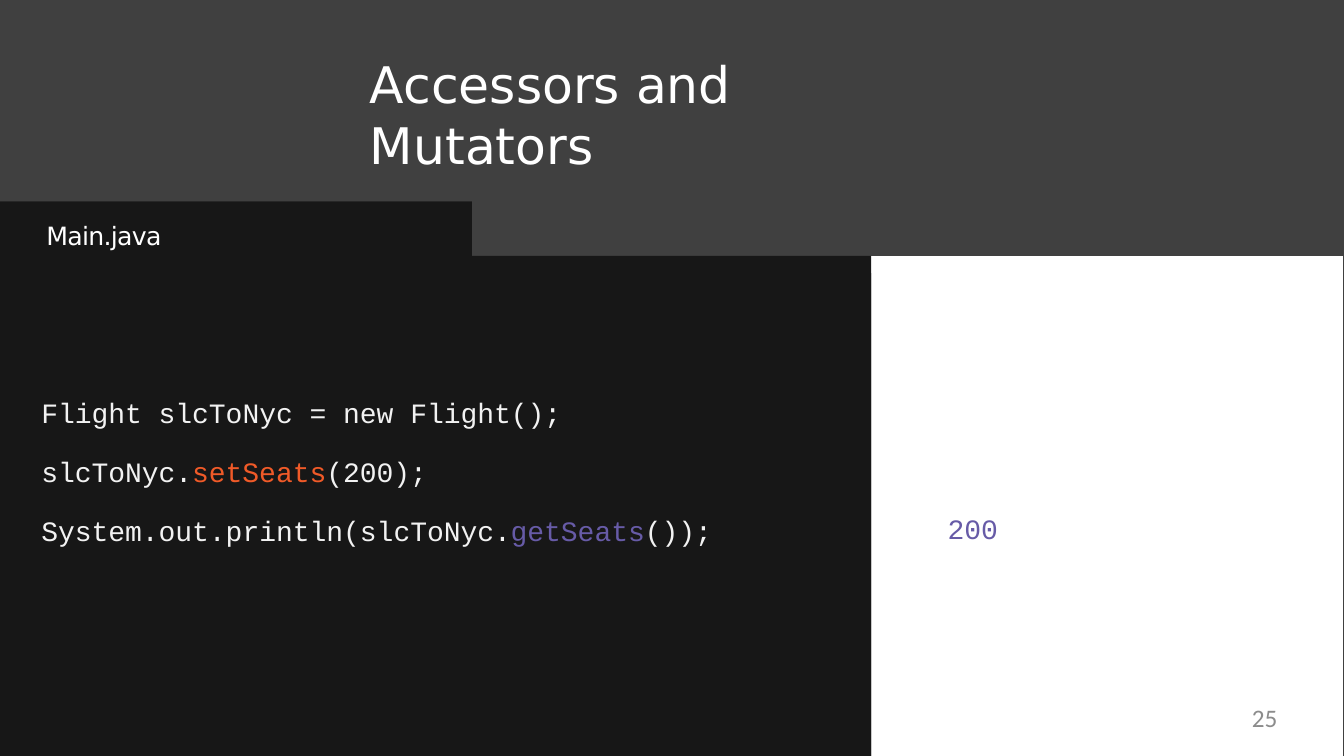
from dataclasses import dataclass

from pptx import Presentation
from pptx.dml.color import RGBColor
from pptx.enum.shapes import MSO_SHAPE as Preset
from pptx.enum.text import MSO_ANCHOR as Anchor, MSO_AUTO_SIZE as AutoSize, PP_ALIGN as Align
from pptx.shapes.base import BaseShape
from pptx.text.text import TextFrame
from pptx.util import Inches, Pt

# Slide grid, in inches
WIDTH, HEIGHT = 13.33, 7.5
TAB_TOP, PANEL_TOP, CODE_TOP = 2.0, 2.54, 2.71
TAB_RIGHT, CODE_RIGHT, OUTPUT_RIGHT = 4.68, 8.64, 13.32

GREY, BLACK, WHITE = "404040", "171717", "FFFFFF"
CODE_TEXT, SETTER, GETTER, PAGE_GREY = "F2F2F2", "F05A28", "675BA7", "8C8C8C"


@dataclass(frozen=True)
class Box:
    left: float
    top: float
    width: float
    height: float

    def emu(self) -> list[int]:
        return [Inches(n) for n in (self.left, self.top, self.width, self.height)]


@dataclass(frozen=True)
class Style:
    font: str
    size: float
    spacing: int = 0  # letter spacing, hundredths of a point


@dataclass(frozen=True)
class Piece:
    text: str
    color: str


CODE = Style("Courier New", 20, -5)
TITLE = Style("DejaVu Sans", 36)
TAB = Style("DejaVu Sans", 18, -50)
PAGE = Style("Calibri", 18)

CODE_LINES = [
    [Piece("Flight slcToNyc = new Flight();", CODE_TEXT)],
    [Piece("slcToNyc.", CODE_TEXT), Piece("setSeats", SETTER), Piece("(200);", CODE_TEXT)],
    [Piece("System.out.println(slcToNyc.", CODE_TEXT), Piece("getSeats", GETTER),
     Piece("());", CODE_TEXT)],
]


def rgb(color: str) -> RGBColor:
    return RGBColor.from_string(color)


def paint(shape: BaseShape, color: str) -> None:
    shape.fill.solid()
    shape.fill.fore_color.rgb = rgb(color)
    shape.line.fill.background()
    shape.shadow.inherit = False


def add_panel(slide, box: Box, color: str) -> BaseShape:
    panel = slide.shapes.add_shape(Preset.RECTANGLE, *box.emu())
    paint(panel, color)
    return panel


def write(frame: TextFrame, lines: list[list[Piece]], style: Style, left: float = 0,
          top: float = 0, right: float = 0, align: Align = Align.LEFT,
          line_height: float | None = None, wrap: bool = True) -> None:
    frame.auto_size = AutoSize.NONE
    frame.word_wrap = wrap
    frame.vertical_anchor = Anchor.TOP
    frame.margin_left, frame.margin_top = Inches(left), Inches(top)
    frame.margin_right, frame.margin_bottom = Inches(right), 0
    for number, pieces in enumerate(lines):
        paragraph = frame.add_paragraph() if number else frame.paragraphs[0]
        paragraph.alignment = align
        if line_height:
            paragraph.line_spacing = Pt(line_height)
        for piece in pieces:
            run = paragraph.add_run()
            run.text = piece.text
            run.font.name, run.font.size = style.font, Pt(style.size)
            run.font.color.rgb = rgb(piece.color)
            if style.spacing:
                run.font._element.set("spc", str(style.spacing))


def main() -> None:
    deck = Presentation()
    deck.slide_width, deck.slide_height = Inches(WIDTH), Inches(HEIGHT)
    slide = deck.slides.add_slide(deck.slide_layouts[5])
    shapes = slide.shapes

    # Backdrop and output panel
    add_panel(slide, Box(0, 0, WIDTH, HEIGHT), GREY)
    add_panel(slide, Box(CODE_RIGHT, PANEL_TOP, OUTPUT_RIGHT - CODE_RIGHT,
                         HEIGHT - PANEL_TOP), WHITE)

    # Editor window with its file tab
    outline = shapes.build_freeform(Inches(CODE_RIGHT), Inches(PANEL_TOP))
    corners = [(TAB_RIGHT, PANEL_TOP), (TAB_RIGHT, TAB_TOP), (0, TAB_TOP),
               (0, HEIGHT), (CODE_RIGHT, HEIGHT)]
    outline.add_line_segments([(Inches(x), Inches(y)) for x, y in corners], close=True)
    paint(outline.convert_to_shape(), BLACK)

    # Program output
    output = shapes.add_textbox(*Box(9.39, 5.01, 0.53, 0.36).emu())
    write(output.text_frame, [[Piece("200", GETTER)]], CODE, left=0.01, top=0.06, wrap=False)

    # Source code
    editor = add_panel(slide, Box(0, CODE_TOP, CODE_RIGHT, HEIGHT - CODE_TOP), BLACK)
    write(editor.text_frame, CODE_LINES, CODE, left=0.41, top=0.96, line_height=42.1)

    # Title, brought in front of the backdrop
    title = shapes.title
    title.left, title.top, title.width, title.height = Box(3.66, 0.5, 5.92, 0.63).emu()
    write(title.text_frame, [[Piece("Accessors and Mutators", WHITE)]], TITLE,
          left=0.01, top=0.03, right=0.5)
    shapes._spTree.append(title._element)

    # File tab
    file_tab = add_panel(slide, Box(0, TAB_TOP, TAB_RIGHT, PANEL_TOP - TAB_TOP), BLACK)
    write(file_tab.text_frame, [[Piece("Main.java", WHITE)]], TAB, left=0.46, top=0.19)

    # Page number
    page = shapes.add_textbox(*Box(9.6, 6.97, 3.07, 0.38).emu())
    write(page.text_frame, [[Piece("25", PAGE_GREY)]], PAGE, align=Align.RIGHT)

    deck.save("out.pptx")


if __name__ == "__main__":
    main()
